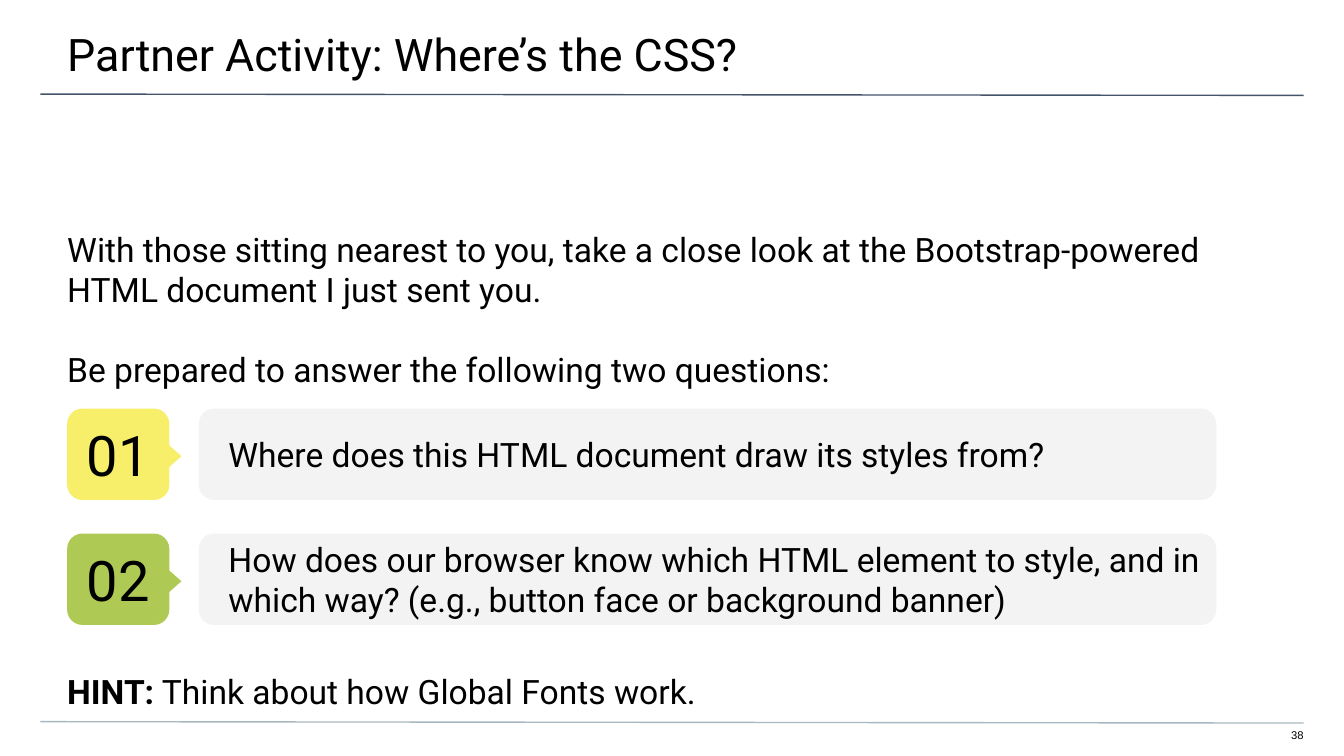
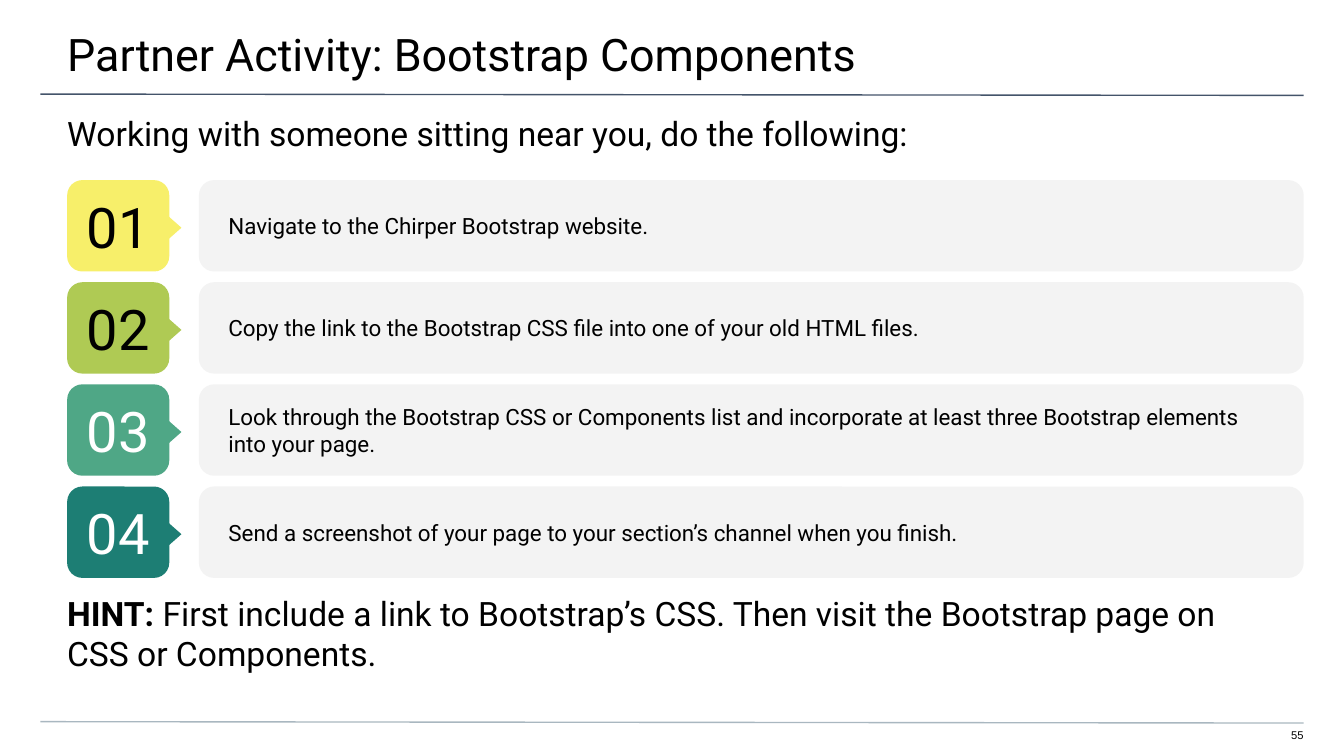
from dataclasses import dataclass

from lxml.etree import SubElement
from pptx import Presentation
from pptx.dml.color import RGBColor
from pptx.enum.shapes import MSO_CONNECTOR, MSO_SHAPE
from pptx.enum.text import MSO_ANCHOR, MSO_AUTO_SIZE, PP_ALIGN
from pptx.oxml.ns import qn
from pptx.util import Emu, Inches, Pt

SLIDE_WIDTH, SLIDE_HEIGHT = Inches(10), Inches(5.625)
COLUMNS, ROWS = 100, 56.25
COLORS = {
    "background": "FFFFFF",
    "text": "000000",
    "light text": "FFFFFF",
    "title rule": "44546A",
    "footer rule": "A9B7C0",
    "panel": "F3F3F3",
    "yellow": "F7EF6A",
    "lime": "AFCA54",
    "green": "4FA786",
    "teal": "1D7E74",
}
BADGE_STYLES = [("yellow", "text"), ("lime", "text"), ("green", "light text"), ("teal", "light text")]
TEXT_FONT, NUMBER_FONT = "Roboto", "Arial"
TITLE_SIZE, BODY_SIZE, BADGE_SIZE, PAGE_SIZE = 24, 18, 30, 6
STEP_HEIGHT = 6.8


@dataclass(frozen=True)
class Area:
    left: float
    top: float
    width: float
    height: float

    def lengths(self) -> tuple:
        return across(self.left), down(self.top), across(self.width), down(self.height)


@dataclass(frozen=True)
class Insets:
    left: float = 0
    top: float = 0
    right: float = 0
    bottom: float = 0


@dataclass(frozen=True)
class Line:
    text: str
    lead: str = ""
    space_before: float = 0


@dataclass(frozen=True)
class Activity:
    title: str
    page: str
    intro: list[Line]
    intro_top: float
    steps: list[str]
    steps_top: float
    pitch: float
    panel_width: float
    step_size: int
    hint: Line | None = None


TITLE_AREA = Area(0, 0, 100, 5.8)
TITLE_INSETS = Insets(5, 2, 3, 1)
INTRO_INSETS = Insets(5, 1, 5, 0)
HINT_AREA = Area(0, 43.8, 97, 6.6)
HINT_INSETS = Insets(5, 0, 5, 0)
STEP_INSETS = Insets(17, 0, 5, 0)
BADGE_INSETS = Insets(1, 1, 1, 1)
PAGE_AREA = Area(94.1, 54.2, 2.9, 1.2)

ACTIVITIES = [
    Activity(
        title="Partner Activity: Where’s the CSS?",
        page="38",
        intro=[
            Line("With those sitting nearest to you, take a close look at the "
                 "Bootstrap-powered HTML document I just sent you."),
            Line("Be prepared to answer the following two questions:", space_before=21.5),
            Line(" Think about how Global Fonts work.", "HINT:", 151),
        ],
        intro_top=16,
        steps=[
            "Where does this HTML document draw its styles from?",
            "How does our browser know which HTML element to style, and in which way? "
            "(e.g., button face or background banner)",
        ],
        steps_top=30.4,
        pitch=9.3,
        panel_width=75.7,
        step_size=18,
    ),
    Activity(
        title="Partner Activity: Bootstrap Components",
        page="55",
        intro=[Line("Working with someone sitting near you, do the following:")],
        intro_top=7.4,
        steps=[
            "Navigate to the Chirper Bootstrap website.",
            "Copy the link to the Bootstrap CSS file into one of your old HTML files.",
            "Look through the Bootstrap CSS or Components list and incorporate at least "
            "three Bootstrap elements into your page.",
            "Send a screenshot of your page to your section’s channel when you finish.",
        ],
        steps_top=13.4,
        pitch=7.6,
        panel_width=82.2,
        step_size=12,
        hint=Line(" First include a link to Bootstrap’s CSS. Then visit the Bootstrap page "
                  "on CSS or Components.", "HINT:"),
    ),
]


def across(columns: float) -> Emu:
    return Emu(round(SLIDE_WIDTH * columns / COLUMNS))


def down(rows: float) -> Emu:
    return Emu(round(SLIDE_HEIGHT * rows / ROWS))


def color(name: str) -> RGBColor:
    return RGBColor.from_string(COLORS[name])


def write(shape, lines: list[Line], size: float, insets: Insets = Insets(),
          anchor=MSO_ANCHOR.TOP, align=PP_ALIGN.LEFT, ink: str = "text",
          font_name: str = TEXT_FONT) -> None:
    frame = shape.text_frame
    frame.word_wrap = True
    frame.auto_size = MSO_AUTO_SIZE.NONE
    frame.vertical_anchor = anchor
    frame.margin_left, frame.margin_right = across(insets.left), across(insets.right)
    frame.margin_top, frame.margin_bottom = down(insets.top), down(insets.bottom)
    for index, line in enumerate(lines):
        paragraph = frame.add_paragraph() if index else frame.paragraphs[0]
        properties = paragraph._p.get_or_add_pPr()
        properties.set("marL", "0")
        properties.set("indent", "0")
        SubElement(properties, qn("a:buNone"))
        paragraph.alignment = align
        paragraph.space_before = Pt(line.space_before)
        paragraph.font.name = font_name
        paragraph.font.size = Pt(size)
        paragraph.font.color.rgb = color(ink)
        if line.lead:
            lead = paragraph.add_run()
            lead.text = line.lead
            lead.font.bold = True
        paragraph.add_run().text = line.text


def fill_placeholder(placeholder, area: Area, lines: list[Line], size: float,
                     insets: Insets) -> None:
    placeholder.left, placeholder.top, placeholder.width, placeholder.height = area.lengths()
    write(placeholder, lines, size, insets)


def add_rule(slide, top: float, ink: str) -> None:
    rule = slide.shapes.add_connector(
        MSO_CONNECTOR.STRAIGHT, across(3), down(top), across(97), down(top + 0.1))
    rule.line.color.rgb = color(ink)
    rule.line.width = Pt(0.75)
    SubElement(rule._element.spPr, qn("a:effectLst"))


def add_block(shapes, kind, area: Area, paint: str):
    block = shapes.add_shape(kind, *area.lengths())
    block.shadow.inherit = False
    block.fill.solid()
    block.fill.fore_color.rgb = color(paint)
    block.line.fill.background()
    return block


def add_step(slide, activity: Activity, index: int) -> None:
    top = activity.steps_top + index * activity.pitch
    paint, ink = BADGE_STYLES[index]
    add_block(slide.shapes, MSO_SHAPE.ROUNDED_RECTANGLE,
              Area(14.8, top, activity.panel_width, STEP_HEIGHT), "panel")
    marker = slide.shapes.add_group_shape()
    badge = add_block(marker.shapes, MSO_SHAPE.ROUNDED_RECTANGLE,
                      Area(5, top, 7.6, STEP_HEIGHT), paint)
    write(badge, [Line(f"{index + 1:02}")], BADGE_SIZE, BADGE_INSETS,
          MSO_ANCHOR.MIDDLE, PP_ALIGN.CENTER, ink)
    pointer = add_block(marker.shapes, MSO_SHAPE.FLOWCHART_EXTRACT,
                        Area(10.6, top + 2.5, 3.7, 2.1), paint)
    pointer.rotation = 90
    instruction = slide.shapes.add_textbox(*Area(0, top + 0.1, 100, 6.6).lengths())
    write(instruction, [Line(activity.steps[index])], activity.step_size, STEP_INSETS,
          MSO_ANCHOR.MIDDLE)


def add_activity(presentation, activity: Activity) -> None:
    slide = presentation.slides.add_slide(presentation.slide_layouts[1])
    slide.background.fill.solid()
    slide.background.fill.fore_color.rgb = color("background")
    add_rule(slide, 53.7, "footer rule")
    add_rule(slide, 7, "title rule")
    fill_placeholder(slide.shapes.title, TITLE_AREA, [Line(activity.title)],
                     TITLE_SIZE, TITLE_INSETS)
    fill_placeholder(slide.placeholders[1], Area(0, activity.intro_top, 100, 4),
                     activity.intro, BODY_SIZE, INTRO_INSETS)
    for index in range(len(activity.steps)):
        add_step(slide, activity, index)
    if activity.hint:
        hint = slide.shapes.add_textbox(*HINT_AREA.lengths())
        write(hint, [activity.hint], BODY_SIZE, HINT_INSETS, MSO_ANCHOR.MIDDLE)
    page = slide.shapes.add_textbox(*PAGE_AREA.lengths())
    write(page, [Line(activity.page)], PAGE_SIZE, Insets(bottom=1),
          align=PP_ALIGN.RIGHT, font_name=NUMBER_FONT)


def main() -> None:
    presentation = Presentation()
    presentation.slide_width, presentation.slide_height = SLIDE_WIDTH, SLIDE_HEIGHT
    for activity in ACTIVITIES:
        add_activity(presentation, activity)
    presentation.save("out.pptx")


if __name__ == "__main__":
    main()
